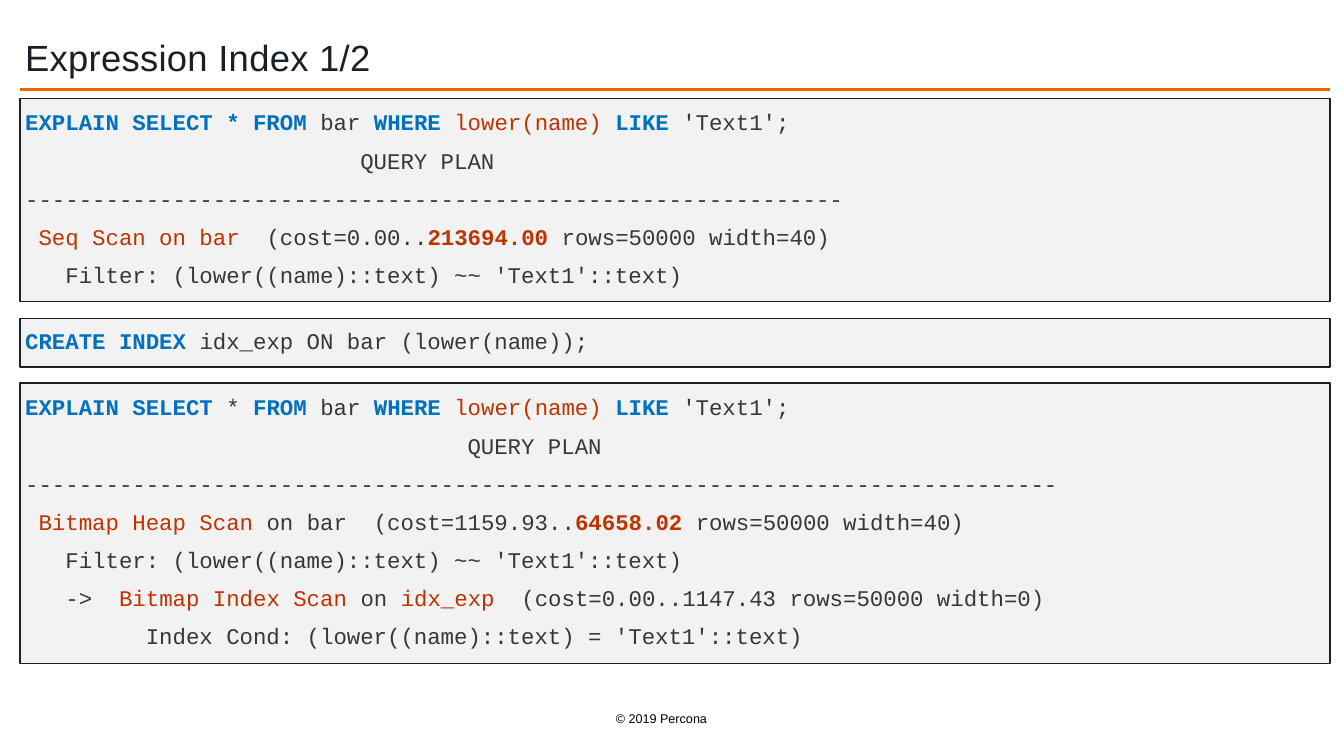
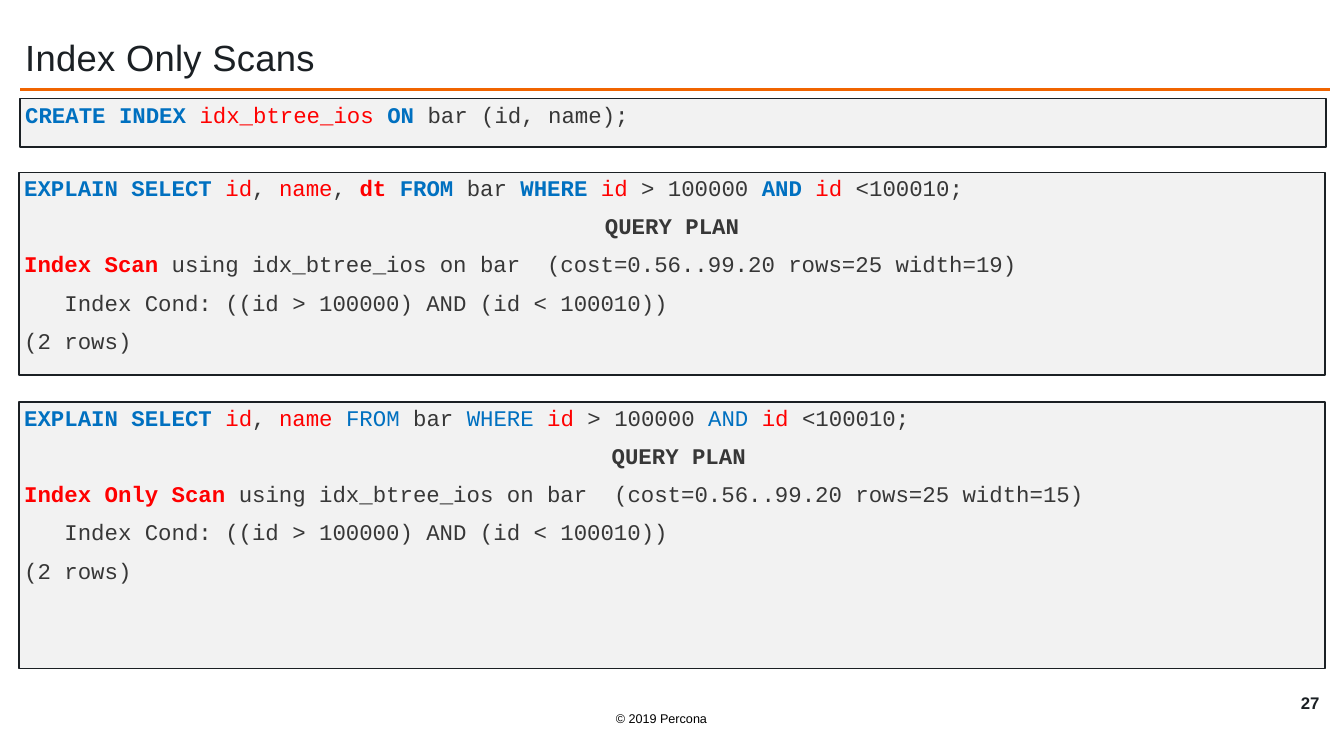
import pptx
import pptx.dml.color
import pptx.enum.shapes
import pptx.enum.text
import pptx.util
from dataclasses import dataclass
from lxml import etree

Inches = pptx.util.Inches
Pt = pptx.util.Pt
ALIGN = pptx.enum.text.PP_ALIGN
ANCHOR = pptx.enum.text.MSO_ANCHOR


@dataclass(frozen=True)
class Theme:
    ink: str = "1B2024"
    rule: str = "F06400"
    panel: str = "F2F2F2"
    code: str = "373737"
    keyword: str = "0070C0"
    rust: str = "BF3300"
    red: str = "FF0000"
    black: str = "000000"
    sans: str = "Arial"
    mono: str = "Courier New"
    title_size: int = 26
    code_size: int = 16
    number_size: int = 12
    footer_size: int = 9


THEME = Theme()


def rgb(color):
    return pptx.dml.color.RGBColor.from_string(color)


def add_text(p, text, *, size, color, font=THEME.sans, bold=False, spacing=None):
    """Append one formatted run to a paragraph."""
    r = p.add_run()
    r.text = text
    r.font.name = font
    r.font.size = Pt(size)
    r.font.bold = bold
    r.font.color.rgb = rgb(color)
    if spacing is not None:
        r.font._element.set("spc", str(round(spacing * 100)))


# Code pieces: each is (text, colour, bold)
def plain(text, bold=False):
    return text, THEME.code, bold


def kw(text, bold=True):
    return text, THEME.keyword, bold


def rust(text, bold=False):
    return text, THEME.rust, bold


def red(text, bold=False):
    return text, THEME.red, bold


def centered(*pieces):
    return ALIGN.CENTER, pieces


def line(*pieces):
    return ALIGN.LEFT, pieces


class Deck:
    LEFT, WIDTH = 0.2, 12.99
    INSET = 0.05

    def __init__(self, theme):
        self.theme = theme
        self.prs = pptx.Presentation()
        self.prs.slide_width = Inches(13.33)
        self.prs.slide_height = Inches(7.5)
        self.slide = None

    def new_slide(self, title):
        self.slide = self.prs.slides.add_slide(self.prs.slide_layouts[6])
        t = self.theme
        self.label("© 2019 Percona", 5.56, 7, 2, 0.25,
                   size=t.footer_size, color=t.black)
        self.rule(0.89)
        self.label(title, self.LEFT, 0.2, self.WIDTH, 0.79, align=ALIGN.LEFT,
                   line_spacing=0.9, size=t.title_size, color=t.ink, spacing=0.2)

    def frame(self, tf, anchor):
        tf.word_wrap = True
        tf.vertical_anchor = anchor
        tf.margin_left = tf.margin_right = Inches(self.INSET)
        tf.margin_top = tf.margin_bottom = Inches(self.INSET)

    def label(self, text, x, y, w, h, align=ALIGN.CENTER, line_spacing=1.0, **fmt):
        sp = self.slide.shapes.add_textbox(Inches(x), Inches(y), Inches(w), Inches(h))
        self.frame(sp.text_frame, ANCHOR.MIDDLE)
        p = sp.text_frame.paragraphs[0]
        p.alignment = align
        p.line_spacing = line_spacing
        add_text(p, text, **fmt)

    def rule(self, y):
        cx = self.slide.shapes.add_connector(
            pptx.enum.shapes.MSO_CONNECTOR.STRAIGHT, Inches(self.LEFT), Inches(y),
            Inches(self.LEFT + self.WIDTH), Inches(y))
        cx.line.color.rgb = rgb(self.theme.rule)
        cx.line.width = Pt(2)
        etree.SubElement(cx._element.spPr, pptx.oxml.ns.qn("a:effectLst"))

    def code_box(self, y, h, lines, x=LEFT, w=WIDTH, anchor=ANCHOR.MIDDLE):
        t = self.theme
        sp = self.slide.shapes.add_shape(
            pptx.enum.shapes.MSO_SHAPE.RECTANGLE,
            Inches(x), Inches(y), Inches(w), Inches(h))
        sp.shadow.inherit = False
        sp.fill.solid()
        sp.fill.fore_color.rgb = rgb(t.panel)
        sp.line.color.rgb = rgb(t.ink)
        sp.line.width = Pt(1)
        tf = sp.text_frame
        self.frame(tf, anchor)
        for i, (align, pieces) in enumerate(lines):
            p = tf.add_paragraph() if i else tf.paragraphs[0]
            p.alignment = align
            p.line_spacing = 0.9
            if i:
                p.space_before = Pt(10)
            for text, color, bold in pieces:
                add_text(p, text, size=t.code_size, color=color,
                         font=t.mono, bold=bold)

    def page_number(self, number):
        self.label(number, 12.84, 6.85, 0.31, 0.25, bold=True,
                   size=self.theme.number_size, color=self.theme.ink)


def plan_header(indent, dashes):
    return [line(plain(" " * indent + "QUERY PLAN")), line(plain("-" * dashes))]


def expression_index(deck):
    deck.new_slide("Expression Index 1/2")
    condition = [plain("bar "), kw("WHERE "), rust("lower(name) "),
                 kw("LIKE"), plain(" 'Text1';")]
    text_filter = line(plain("   Filter: (lower((name)::text) ~~ 'Text1'::text)"))

    # Plan without the index
    deck.code_box(0.98, 2.01, [
        line(kw("EXPLAIN SELECT * FROM "), *condition),
        *plan_header(25, 61),
        line(plain(" "), rust("Seq Scan on bar"), plain("  (cost=0.00.."),
             rust("213694.00", bold=True), plain(" rows=50000 width=40)")),
        text_filter,
    ])

    # Index definition
    deck.code_box(3.16, 0.48, [
        line(kw("CREATE INDEX "), plain("idx_exp ON bar (lower(name));")),
    ])

    # Plan with the index
    deck.code_box(3.8, 2.78, [
        line(kw("EXPLAIN SELECT"), plain(" * "), kw("FROM "), *condition),
        *plan_header(33, 77),
        line(plain(" "), rust("Bitmap Heap Scan "), plain("on bar  (cost=1159.93.."),
             rust("64658.02", bold=True), plain(" rows=50000 width=40)")),
        text_filter,
        line(plain("   ->  "), rust("Bitmap Index Scan "), plain("on "),
             rust("idx_exp"), plain("  (cost=0.00..1147.43 rows=50000 width=0)")),
        line(plain("         Index Cond: (lower((name)::text) = 'Text1'::text)")),
    ])


def range_plan(columns, bold, scan, width, indent=""):
    """Query on an id range, followed by its plan."""
    return [
        line(kw("EXPLAIN SELECT "), red("id"), plain(", "), *columns,
             kw("FROM", bold), plain(" bar "), kw("WHERE ", bold), red("id"),
             plain(" > 100000 "), kw("AND ", bold), red("id"), plain(" <100010;")),
        centered(plain(indent + "QUERY PLAN", bold=True)),
        line(red(scan, bold=True),
             plain(f" using idx_btree_ios on bar  (cost=0.56..99.20 rows=25 width={width})")),
        line(plain("   Index Cond: ((id > 100000) AND (id < 100010))")),
        line(plain("(2 rows)")),
    ]


def index_only_scans(deck):
    deck.new_slide("Index Only Scans")
    deck.page_number("27")
    box = dict(w=12.95, anchor=ANCHOR.TOP)

    # Index definition
    deck.code_box(0.98, 0.48, [
        line(kw("CREATE INDEX "), red("idx_btree_ios "), kw("ON"),
             plain(" bar (id, name);")),
    ], **box)

    # Column outside the index, then only indexed columns
    deck.code_box(1.71, 2.01, range_plan(
        [red("name"), plain(", "), red("dt ", bold=True)], True,
        "Index Scan", 19), x=0.19, **box)
    deck.code_box(3.99, 2.64, range_plan(
        [red("name ")], False, "Index Only Scan", 15, indent="\N{NO-BREAK SPACE}"),
        x=0.19, **box)


def main():
    deck = Deck(THEME)
    expression_index(deck)
    index_only_scans(deck)
    deck.prs.save("out.pptx")


if __name__ == "__main__":
    main()
